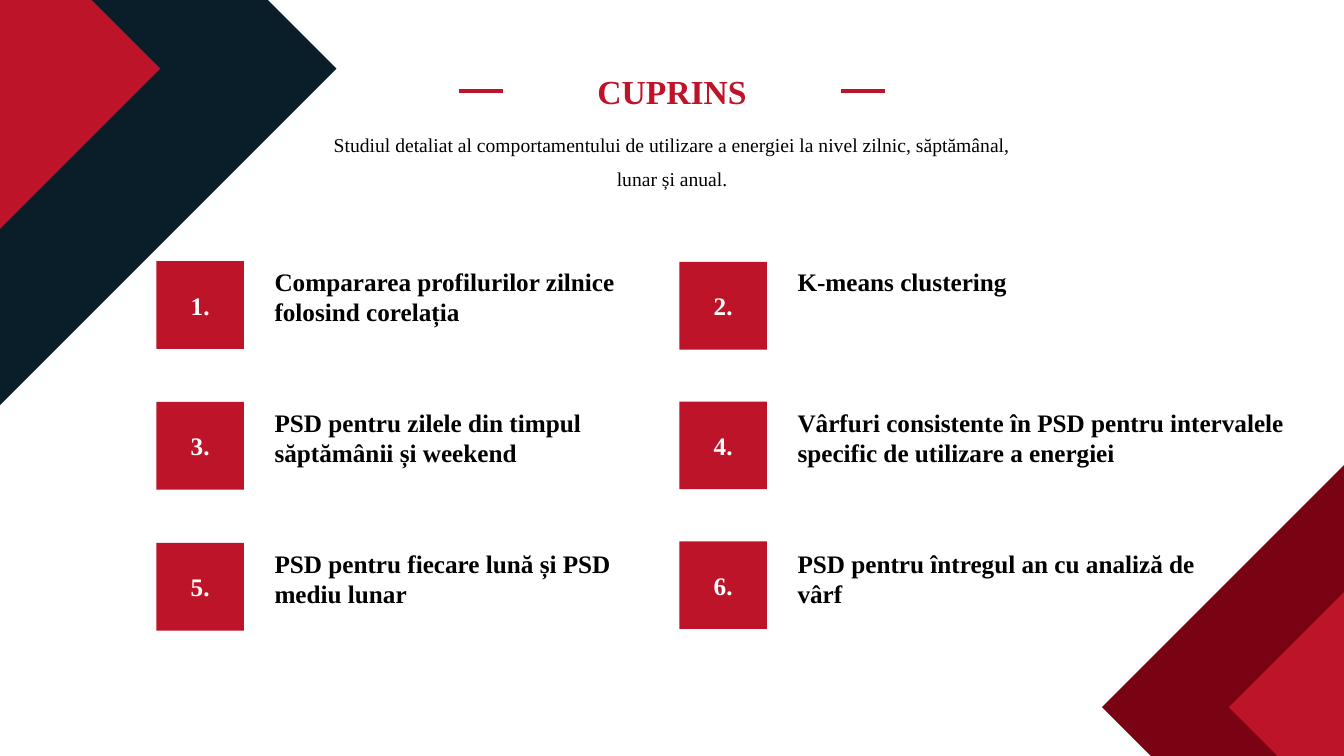
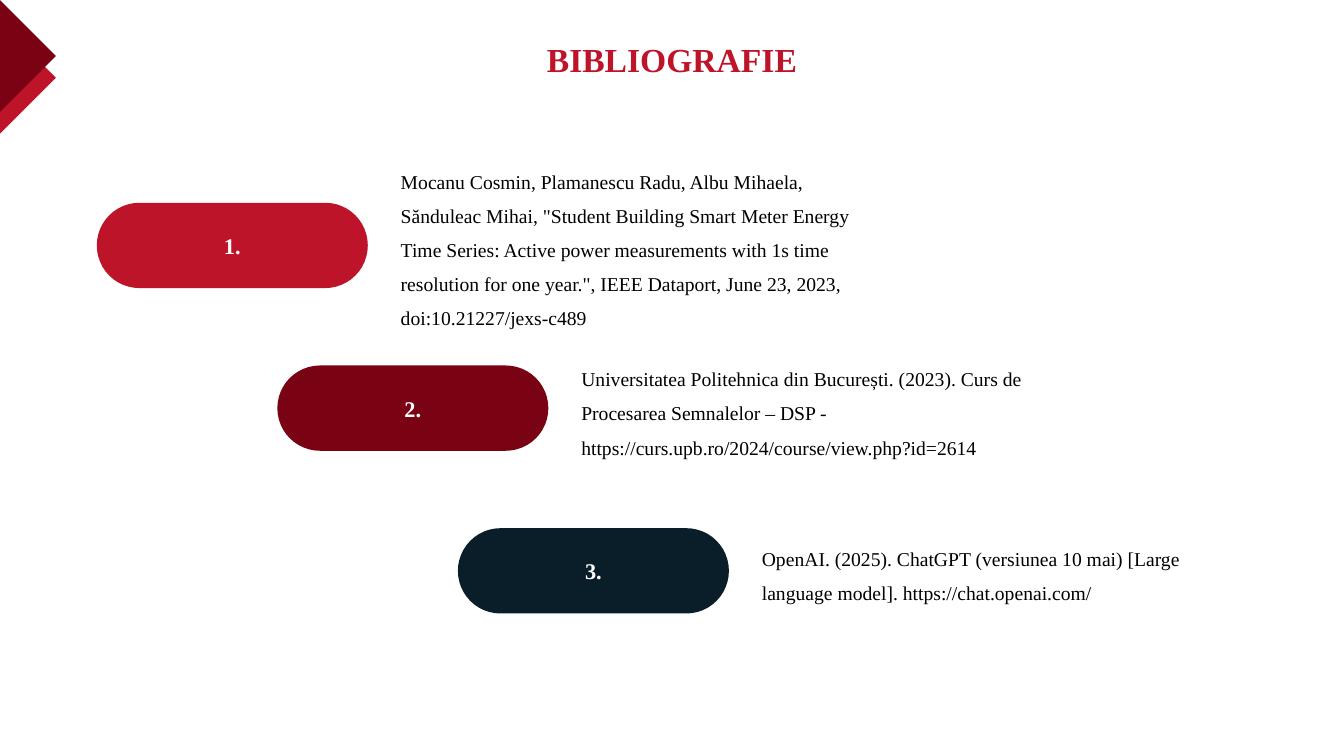
"""Build the contents slide and the bibliography slide."""
from lxml.etree import SubElement
from pptx import Presentation
from pptx.dml.color import RGBColor as Rgb
from pptx.enum.shapes import MSO_CONNECTOR as Link, MSO_SHAPE as Form
from pptx.enum.text import MSO_ANCHOR as Anchor, PP_ALIGN as Align
from pptx.oxml.ns import qn
from pptx.util import Cm, Pt

WIDE, HIGH = 33.87, 19.05
HUES = {"red": "BD1429", "wine": "790313", "navy": "0A1E29",
        "black": "000000", "white": "FFFFFF"}
FONTS = {
    "title": {"size": Pt(24), "bold": True},
    "body": {"size": Pt(14), "bold": False},
    "item": {"size": Pt(18), "bold": True},
    "pill": {"size": Pt(16), "bold": True},
}
TOPICS = [
    ("Compararea profilurilor zilnice folosind corelația", 9.6),
    ("K-means clustering", 9.6),
    ("PSD pentru zilele din timpul săptămânii și weekend", 9.6),
    ("Vârfuri consistente în PSD pentru intervalele specific de utilizare a energiei", 13.08),
    ("PSD pentru fiecare lună și PSD mediu lunar", 9.6),
    ("PSD pentru întregul an cu analiză de vârf", 11.13),
]
COLUMNS = [(3.94, 6.58, 3.55), (17.12, 6.6, 3.52)]
SOURCES = [
    ("red", 4.6, "Mocanu Cosmin, Plamanescu Radu, Albu Mihaela, Sănduleac Mihai, "
     "\"Student Building Smart Meter Energy Time Series: Active power measurements "
     "with 1s time resolution for one year.\", IEEE Dataport, June 23, 2023, "
     "doi:10.21227/jexs-c489"),
    ("wine", 2.84, "Universitatea Politehnica din București. (2023). Curs de Procesarea "
     "Semnalelor – DSP - https://curs.upb.ro/2024/course/view.php?id=2614"),
    ("navy", 1.98, "OpenAI. (2025). ChatGPT (versiunea 10 mai) [Large language model]. "
     "https://chat.openai.com/"),
]


class Deck:
    def __init__(self):
        self.file = Presentation()
        self.file.slide_width, self.file.slide_height = Cm(WIDE), Cm(HIGH)
        self.page = None

    def start(self):
        self.page = self.file.slides.add_slide(self.file.slide_layouts[6]).shapes

    def paint(self, shape, hue):
        shape.shadow.inherit = False
        shape.fill.solid()
        shape.fill.fore_color.rgb = Rgb.from_string(HUES[hue])
        shape.line.fill.background()

    def label(self, shape, text, style, hue, align=Align.LEFT, space=1.0):
        shape.text_frame.word_wrap = True
        para = shape.text_frame.paragraphs[0]
        para.alignment, para.line_spacing = align, space
        run = para.add_run()
        run.text = text
        for key, value in {"name": "Times New Roman", **FONTS[style]}.items():
            setattr(run.font, key, value)
        run.font.color.rgb = Rgb.from_string(HUES[hue])

    def text(self, x, y, w, h, text, style, hue="black", **look):
        box = self.page.add_textbox(Cm(x), Cm(y), Cm(w), Cm(h))
        self.label(box, text, style, hue, **look)

    def title(self, y, text):
        self.text((WIDE - 10) / 2, y, 10, 1.27, text, "title", "red", align=Align.CENTER)

    def badge(self, form, x, y, w, h, text, style, hue):
        shape = self.page.add_shape(form, Cm(x), Cm(y), Cm(w), Cm(h))
        if form == Form.ROUNDED_RECTANGLE:
            shape.adjustments[0] = 0.5
        self.paint(shape, hue)
        shape.text_frame.vertical_anchor = Anchor.MIDDLE
        self.label(shape, text, style, "white", Align.CENTER)

    def corner(self, x, y, hue, turn=False):
        top = max(y - x, 0)
        dots = [(0, top), (max(x - y, 0), top), (x, y), (0, x + y)]
        if turn:
            dots = [(WIDE - a, HIGH - b) for a, b in dots]
        dots = [(Cm(a), Cm(b)) for a, b in dots]
        pen = self.page.build_freeform(*dots[0])
        pen.add_line_segments(dots[1:], close=True)
        self.paint(pen.convert_to_shape(), hue)

    def dash(self, x, y, w):
        line = self.page.add_connector(Link.STRAIGHT, Cm(x), Cm(y), Cm(x + w), Cm(y))
        line.line.color.rgb = Rgb.from_string(HUES["red"])
        line.line.width = Pt(3)
        SubElement(line._element.spPr, qn("a:effectLst"))


def contents(deck):
    deck.start()
    deck.corner(8.48, 1.73, "navy")
    deck.corner(4.04, 1.73, "red")
    deck.corner(6.1, 1.23, "wine", turn=True)
    deck.corner(2.9, 1.23, "red", turn=True)
    deck.title(1.65, "CUPRINS")
    deck.text(8.15, 2.95, 17.58, 1.98,
              "Studiul detaliat al comportamentului de utilizare a energiei la nivel "
              "zilnic, săptămânal, lunar și anual.",
              "body", align=Align.CENTER, space=1.45)
    size = 1.11
    for x in (11.57, WIDE - 11.57 - size):
        deck.dash(x, 2.29, size)
    for i, (topic, wide) in enumerate(TOPICS):
        row, col = divmod(i, 2)
        x, top, step = COLUMNS[col]
        deck.badge(Form.RECTANGLE, x, top + row * step, 2.21, 2.21,
                   f"{i + 1}.", "item", "red")
        deck.text(x + 2.73, 6.59 + row * 3.55, wide, 1.8, topic, "item")


def sources(deck):
    deck.start()
    deck.corner(1.41, 1.96, "red")
    deck.corner(1.41, 1.41, "wine")
    deck.title(0.86, "BIBLIOGRAFIE")
    tall = 2.15
    for i, (hue, high, text) in enumerate(SOURCES):
        x, y = 2.44 + 4.55 * i, 5.11 + 4.1 * i
        deck.badge(Form.ROUNDED_RECTANGLE, x, y, 6.83, tall, f"{i + 1}.", "pill", hue)
        deck.text(x + 7.41, y + (tall - high) / 2, 12.47, high, text, "body", space=1.45)


def main():
    deck = Deck()
    contents(deck)
    sources(deck)
    deck.file.save("out.pptx")


if __name__ == "__main__":
    main()
